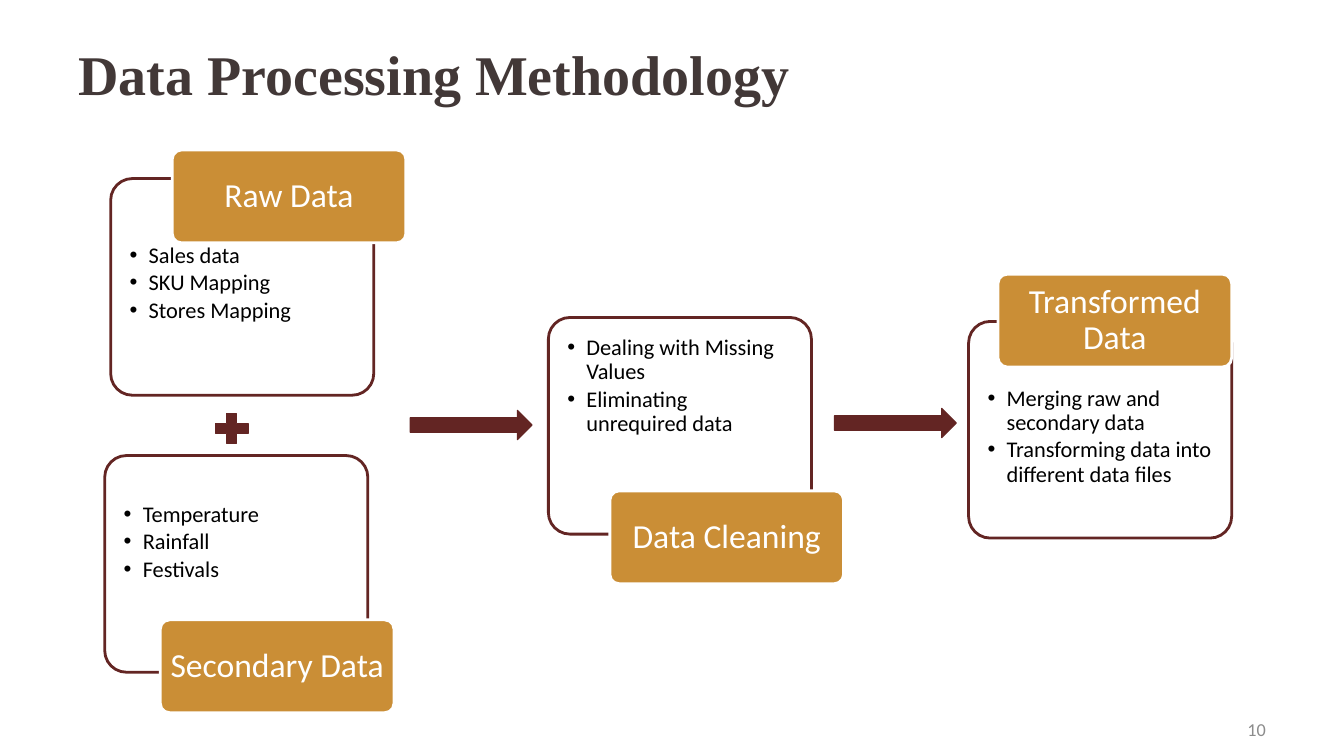
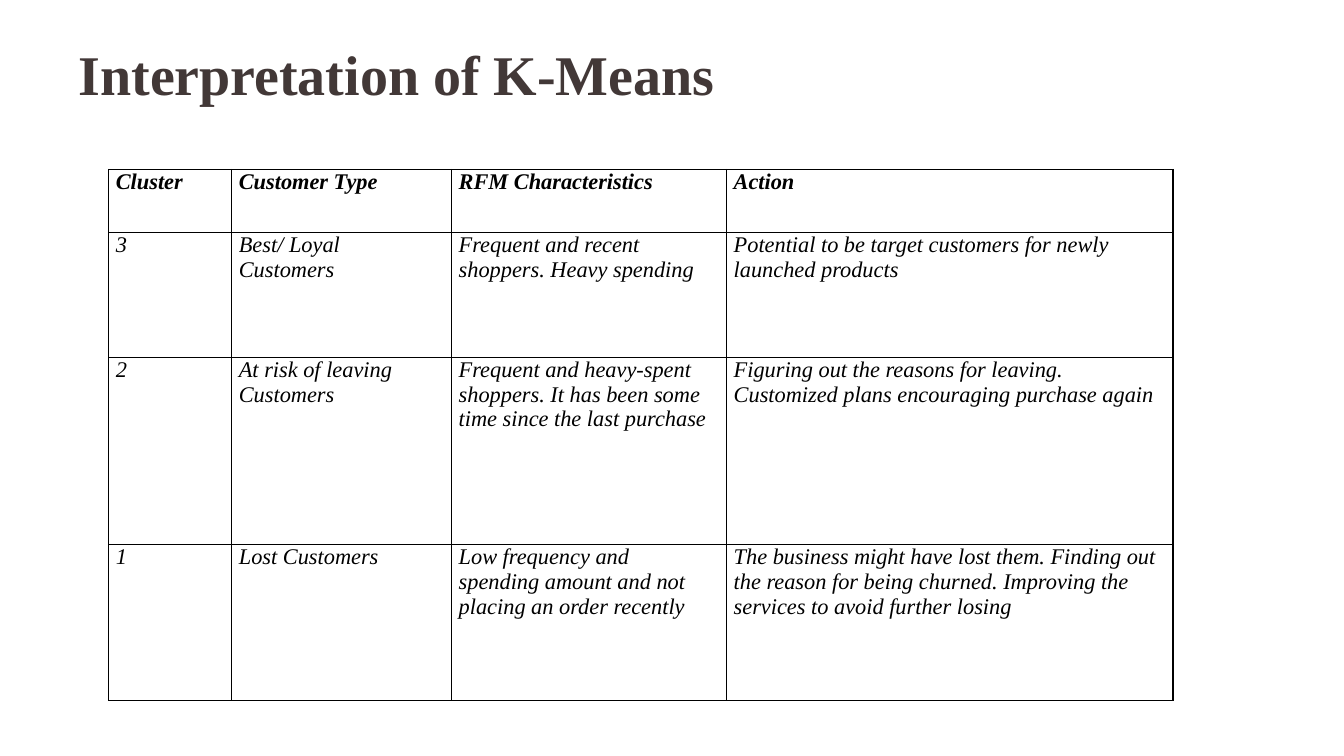
"""Build two slides on data processing and the reading of K-Means clusters."""
from lxml import etree
from pptx import Presentation
from pptx.dml.color import RGBColor
from pptx.enum.shapes import MSO_SHAPE
from pptx.enum.text import MSO_ANCHOR, MSO_AUTO_SIZE, PP_ALIGN
from pptx.oxml.ns import qn
from pptx.util import Cm, Pt

ROUNDED = MSO_SHAPE.ROUNDED_RECTANGLE
PLUS = MSO_SHAPE.MATH_PLUS
ARROW = MSO_SHAPE.RIGHT_ARROW
TOP, MIDDLE = MSO_ANCHOR.TOP, MSO_ANCHOR.MIDDLE
LEFT, CENTER, RIGHT = PP_ALIGN.LEFT, PP_ALIGN.CENTER, PP_ALIGN.RIGHT
NO_AUTOFIT = MSO_AUTO_SIZE.NONE

WHITE = RGBColor(0xFF, 0xFF, 0xFF)
BLACK = RGBColor(0x00, 0x00, 0x00)
GRAY = RGBColor(0x8C, 0x8C, 0x8C)
TITLE_BROWN = RGBColor(0x42, 0x38, 0x37)
MAROON = RGBColor(0x63, 0x25, 0x23)
OCHRE = RGBColor(0xCA, 0x8E, 0x36)

SANS, SERIF = "Calibri", "Times New Roman"
TITLE_ONLY = 5
PANEL_SIZE = (6.63, 5.46)
LABEL_SIZE = (5.89, 2.34)
BULLET_INDENT = Cm(0.48)

STAGES = [
    {"label": "Secondary Data", "panel_at": (2.64, 11.48), "label_at": (4.04, 15.62),
     "text_top": 1.03, "items": ["Temperature", "Rainfall", "Festivals"]},
    {"label": "Raw Data", "panel_at": (2.79, 4.5), "label_at": (4.34, 3.78),
     "text_top": 1.49, "items": ["Sales data", "SKU Mapping", "Stores Mapping"]},
    {"label": "Data Cleaning", "panel_at": (13.82, 8), "label_at": (15.37, 12.37),
     "text_top": 0.32,
     "items": ["Dealing with Missing Values", "Eliminating unrequired data"]},
    {"label": "Transformed Data", "panel_at": (24.41, 8.1), "label_at": (25.15, 6.91),
     "text_top": 1.49,
     "items": ["Merging raw and secondary data",
               "Transforming data into different data files"]},
]
SYMBOLS = [
    (PLUS, (5.28, 10.29, 1.12, 1.02)),
    (ARROW, (10.34, 10.34, 3.07, 0.74)),
    (ARROW, (21.03, 10.29, 3.07, 0.74)),
]

COLUMN_WIDTHS = [3.1, 5.54, 6.93, 11.25]
ROW_HEIGHTS = [1.58, 3.15, 4.72, 3.94]
CLUSTERS = [
    ["Cluster", "Customer Type", "RFM Characteristics", "Action"],
    ["3", "Best/ Loyal\nCustomers", "Frequent and recent\nshoppers. Heavy spending",
     "Potential to be target customers for newly\nlaunched products"],
    ["2", "At risk of leaving\nCustomers",
     "Frequent and heavy-spent\nshoppers. It has been some\ntime since the last purchase",
     "Figuring out the reasons for leaving.\nCustomized plans encouraging purchase again"],
    ["1", "Lost Customers",
     "Low frequency and\nspending amount and not\nplacing an order recently",
     "The business might have lost them. Finding out the reason for being churned. "
     "Improving the\nservices to avoid further losing"],
]


def add_bullet(paragraph):
    """Give a paragraph a hanging round bullet."""
    properties = paragraph._p.get_or_add_pPr()
    properties.set("marL", str(BULLET_INDENT))
    properties.set("indent", str(-BULLET_INDENT))
    etree.SubElement(properties, qn("a:buFont")).set("typeface", "Arial")
    etree.SubElement(properties, qn("a:buChar")).set("char", "•")


def write_text(frame, text, *, font=SANS, size=16, color=BLACK, bold=False, italic=False,
               align=LEFT, anchor=TOP, spacing=1.0, after=0, bullets=False):
    """Fill a text frame with one paragraph per line of text."""
    frame.word_wrap = True
    frame.vertical_anchor = anchor
    for index, line in enumerate(text.split("\n")):
        paragraph = frame.add_paragraph() if index else frame.paragraphs[0]
        if bullets:
            add_bullet(paragraph)
        paragraph.alignment = align
        paragraph.line_spacing = spacing
        paragraph.space_before = Pt(0)
        paragraph.space_after = Pt(after)
        run = paragraph.add_run()
        run.text = line
        run.font.name = font
        run.font.size = Pt(size)
        run.font.color.rgb = color
        run.font.bold = bold
        run.font.italic = italic


def set_margins(item, left, top):
    """Set equal side margins and equal top and bottom margins."""
    item.margin_left = item.margin_right = Cm(left)
    item.margin_top = item.margin_bottom = Cm(top)


def add_titled_slide(presentation, title):
    """Add a slide with the shared title style."""
    slide = presentation.slides.add_slide(presentation.slide_layouts[TITLE_ONLY])
    shape = slide.shapes.title
    shape.left, shape.top, shape.width, shape.height = map(Cm, (1.7, 0.74, 30.48, 2.21))
    shape.text_frame.auto_size = NO_AUTOFIT
    set_margins(shape.text_frame, 0.28, 0.13)
    write_text(shape.text_frame, title, font=SERIF, size=40, color=TITLE_BROWN,
               bold=True, anchor=MIDDLE)
    return slide


def add_shape(slide, kind, box, fill, line, line_width):
    """Add a flat preset shape."""
    shape = slide.shapes.add_shape(kind, *map(Cm, box))
    shape.shadow.inherit = False
    shape.fill.solid()
    shape.fill.fore_color.rgb = fill
    shape.line.color.rgb = line
    shape.line.width = Pt(line_width)
    if kind == ROUNDED:
        shape.adjustments[0] = 0.1
    return shape


def add_stage(slide, stage):
    """Add a bulleted panel with its overlapping label."""
    panel = add_shape(slide, ROUNDED, stage["panel_at"] + PANEL_SIZE, WHITE, MAROON, 2)
    set_margins(panel.text_frame, 0.32, 0.32)
    panel.text_frame.margin_top = Cm(stage["text_top"])
    write_text(panel.text_frame, "\n".join(stage["items"]), spacing=0.9, after=2.4,
               bullets=True)
    label = add_shape(slide, ROUNDED, stage["label_at"] + LABEL_SIZE, OCHRE, WHITE, 2)
    set_margins(label.text_frame, 0.1, 0.08)
    write_text(label.text_frame, stage["label"], size=24, color=WHITE, align=CENTER,
               anchor=MIDDLE, spacing=0.9)


def add_page_number(slide, number):
    """Add the page number at the lower right."""
    box = slide.shapes.add_textbox(*map(Cm, (24.28, 18.06, 7.9, 0.61)))
    set_margins(box.text_frame, 0.28, 0.13)
    write_text(box.text_frame, number, size=13, color=GRAY, align=RIGHT, anchor=MIDDLE)


def add_borders(cell):
    """Draw a thin black line on each side of a cell."""
    properties = cell._tc.get_or_add_tcPr()
    for index, side in enumerate(("a:lnL", "a:lnR", "a:lnT", "a:lnB")):
        line = etree.Element(qn(side), w=str(Pt(1)))
        fill = etree.SubElement(line, qn("a:solidFill"))
        etree.SubElement(fill, qn("a:srgbClr")).set("val", str(BLACK))
        properties.insert(index, line)


def add_cluster_table(slide):
    """Add the table of customer clusters."""
    frame = slide.shapes.add_table(
        len(ROW_HEIGHTS), len(COLUMN_WIDTHS), Cm(2.74), Cm(4.27),
        Cm(sum(COLUMN_WIDTHS)), Cm(sum(ROW_HEIGHTS)))
    table = frame.table
    table.first_row = table.horz_banding = False
    for column, width in zip(table.columns, COLUMN_WIDTHS):
        column.width = Cm(width)
    for index, (row, height) in enumerate(zip(table.rows, ROW_HEIGHTS)):
        row.height = Cm(height)
        for cell, text in zip(row.cells, CLUSTERS[index]):
            cell.fill.background()
            add_borders(cell)
            set_margins(cell, 0.18, 0)
            write_text(cell.text_frame, text, font=SERIF, bold=index == 0, italic=True)


def build_methodology(presentation):
    """Build the slide on data processing."""
    slide = add_titled_slide(presentation, "Data Processing Methodology")
    for stage in STAGES:
        add_stage(slide, stage)
    for kind, box in SYMBOLS:
        add_shape(slide, kind, box, MAROON, MAROON, 0.75)
    add_page_number(slide, "10")


def build_interpretation(presentation):
    """Build the slide on the clusters."""
    slide = add_titled_slide(presentation, "Interpretation of K-Means")
    add_cluster_table(slide)


def main():
    """Build and save the presentation."""
    presentation = Presentation()
    presentation.slide_width, presentation.slide_height = Cm(33.87), Cm(19.05)
    build_methodology(presentation)
    build_interpretation(presentation)
    presentation.save("out.pptx")


if __name__ == "__main__":
    main()
